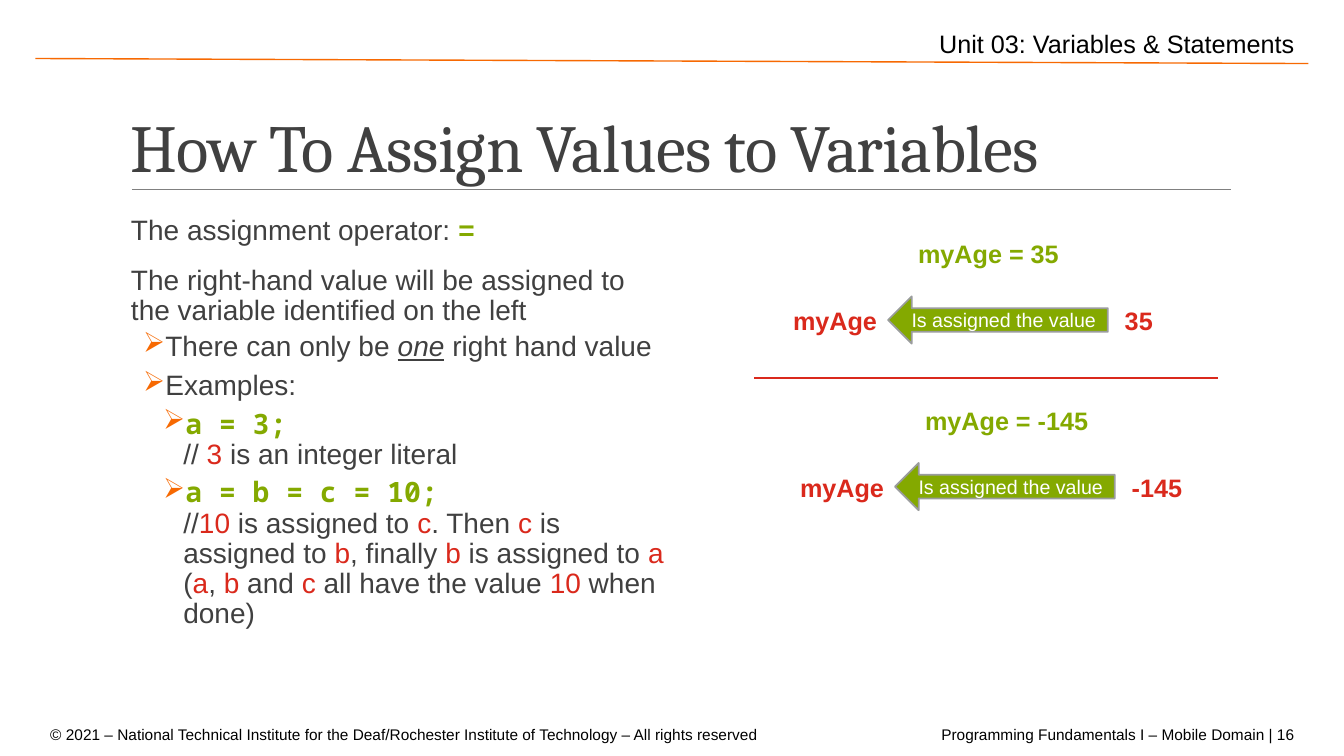
from pptx import Presentation
from pptx.dml.color import RGBColor as Rgb
from pptx.enum.shapes import MSO_CONNECTOR as Connector, MSO_SHAPE as Shape
from pptx.enum.text import MSO_ANCHOR as Anchor, MSO_AUTO_SIZE as AutoSize, PP_ALIGN as Align
from pptx.oxml.ns import qn
from pptx.util import Pt
from lxml.etree import SubElement

TITLE = "How To Assign Values to Variables"
# text, (left, top, width, height), style, alignment
MARGIN_TEXTS = [
    ("© 2021 – National Technical Institute for the Deaf/Rochester Institute of Technology"
     " – All rights reserved", (28.8, 514.1, 526.3, 20.9), "footer", Align.LEFT),
    ("Unit 03: Variables & Statements", (661, 16.6, 270.7, 28.8), "unit", Align.RIGHT),
    ("Programming Fundamentals I – Mobile Domain | 16",
     (665.3, 514.1, 269.3, 20.9), "footer", Align.LEFT),
]
# level, code line, text with *emphasis*, style of the emphasis
BODY = [
    (0, "", "The assignment operator: *=*", "operator"),
    (0, "", "The right-hand value will be assigned to the variable identified on the left", "body"),
    (1, "", "There can only be *one* right hand value", "stressed"),
    (1, "", "Examples:", "body"),
    (2, "a = 3;", "// *3* is an integer literal", "literal"),
    (2, "a = b = c = 10;", "//*10* is assigned to *c*. Then *c* is assigned to *b*, finally *b*"
     " is assigned to *a* (*a*, *b* and *c* all have the value *10* when done)", "literal"),
]
# value, (shift right, shift down), extra width of the longer value
ASSIGNMENTS = [("35", (0, 0), 0), ("-145", (5, 119), 16.5)]
# start, end, colour, weight
RULES = [
    ((94.3, 135.4), (879.1, 135.4), "rule", 0.5),
    ((25.2, 41.8), (934.6, 45.4), "orange", 1),
    ((538.6, 270), (869.8, 270), "red", 1.25),
]

THEME = {
    "colors": {"text": "404040", "black": "000000", "white": "FFFFFF", "green": "84A900",
               "red": "DA291C", "orange": "F76902", "rule": "808080", "outline": "9A9C9D"},
    "styles": {
        "title": ("text", {"name": "Cambria", "size": Pt(48)}),
        "unit": ("black", {"name": "Arial", "size": Pt(18)}),
        "footer": ("black", {"name": "Arial", "size": Pt(11)}),
        "body": ("text", {"name": "Arial", "size": Pt(20)}),
        "stressed": ("text", {"name": "Arial", "size": Pt(20), "italic": True, "underline": True}),
        "operator": ("green", {"name": "Arial", "size": Pt(20), "bold": True}),
        "literal": ("red", {"name": "Arial", "size": Pt(20)}),
        "code": ("green", {"name": "Noto Sans Mono", "size": Pt(20), "bold": True}),
        "statement": ("green", {"name": "Arial", "size": Pt(18), "bold": True}),
        "operand": ("red", {"name": "Arial", "size": Pt(18), "bold": True}),
        "arrow": ("white", {"name": "Arial", "size": Pt(14)}),
    },
}
# left margin, first-line indent, space before, space after
LEVELS = [(7.2, 0, 12, 2), (30.2, -14.4, 2, 4), (44.6, -14.4, 2, 4)]


def color(name):
    return Rgb.from_string(THEME["colors"][name])


def apply(target, values):
    for name, value in values.items():
        setattr(target, name, value)


def add_span(para, text, style):
    span = para.add_run()
    span.text = text
    ink, values = THEME["styles"][style]
    apply(span.font, values)
    span.font.color.rgb = color(ink)
    return span


def add_box(page, bounds, **frame_values):
    box = page.shapes.add_textbox(*map(Pt, bounds))
    apply(box.text_frame, frame_values)
    return box.text_frame


def add_label(page, text, bounds, style, align=Align.LEFT):
    """Add a one-line text that does not wrap."""
    frame = add_box(page, bounds, word_wrap=False, auto_size=AutoSize.SHAPE_TO_FIT_TEXT)
    para = frame.paragraphs[0]
    para.alignment = align
    add_span(para, text, style)


def add_rule(page, start, end, ink, weight):
    rule = page.shapes.add_connector(Connector.STRAIGHT, *map(Pt, start + end))
    rule.line.color.rgb = color(ink)
    rule.line.width = Pt(weight)
    SubElement(rule._element.spPr, qn("a:effectLst"))


def format_level(para, level):
    """Set the spacing, indent and bullet of an outline level."""
    margin, indent, before, after = LEVELS[level]
    apply(para, {"level": level, "line_spacing": 0.9,
                 "space_before": Pt(before), "space_after": Pt(after)})
    props = para._p.get_or_add_pPr()
    props.set("marL", str(Pt(margin)))
    props.set("indent", str(Pt(indent)))
    if level:
        ink = SubElement(props, qn("a:buClr"))
        SubElement(ink, qn("a:srgbClr"), val=THEME["colors"]["orange"])
        SubElement(props, qn("a:buChar"), char="➢")
    else:
        SubElement(props, qn("a:buNone"))


def add_title(page):
    frame = add_box(page, (86.4, 22.3, 792, 114.5), word_wrap=True, vertical_anchor=Anchor.BOTTOM)
    para = frame.paragraphs[0]
    para.line_spacing = 0.85
    span = add_span(para, TITLE, "title")
    span.font._element.set("spc", "-50")


def add_body(page):
    frame = add_box(page, (86.4, 151.2, 388.8, 314.6), word_wrap=True,
                    margin_left=0, margin_right=0)
    for index, (level, code, text, emphasis) in enumerate(BODY):
        para = frame.add_paragraph() if index else frame.paragraphs[0]
        format_level(para, level)
        if code:
            add_span(para, code, "code")
            para.add_line_break()
        for part, words in enumerate(text.split("*")):
            if words:
                add_span(para, words, emphasis if part % 2 else "body")


def add_assignment(page, value, shift, extra):
    """Draw a statement above its variable, arrow and value."""
    right, down = shift
    add_label(page, f"myAge = {value}", (648.7 + right, 167 + down, 116 + extra, 28.8), "statement")
    add_label(page, "myAge", (559.4 + right, 214.6 + down, 74.9, 28.8), "operand")
    add_label(page, value, (796.3 + right, 214.6 + down, 34.6 + extra, 28.8), "operand")
    arrow = page.shapes.add_shape(
        Shape.LEFT_ARROW, *map(Pt, (634.3 + right, 211.7 + down, 157, 33.8)))
    arrow.shadow.inherit = False
    arrow.fill.solid()
    arrow.fill.fore_color.rgb = color("green")
    arrow.line.color.rgb = color("outline")
    arrow.line.width = Pt(1.25)
    arrow.text_frame.vertical_anchor = Anchor.MIDDLE
    para = arrow.text_frame.paragraphs[0]
    para.alignment = Align.CENTER
    add_span(para, "Is assigned the value", "arrow")


def main():
    deck = Presentation()
    apply(deck, {"slide_width": Pt(960), "slide_height": Pt(540)})
    page = deck.slides.add_slide(deck.slide_layouts[6])
    for rule in RULES:
        add_rule(page, *rule)
    for label in MARGIN_TEXTS:
        add_label(page, *label)
    add_title(page)
    add_body(page)
    for assignment in ASSIGNMENTS:
        add_assignment(page, *assignment)
    deck.save("out.pptx")


if __name__ == "__main__":
    main()
